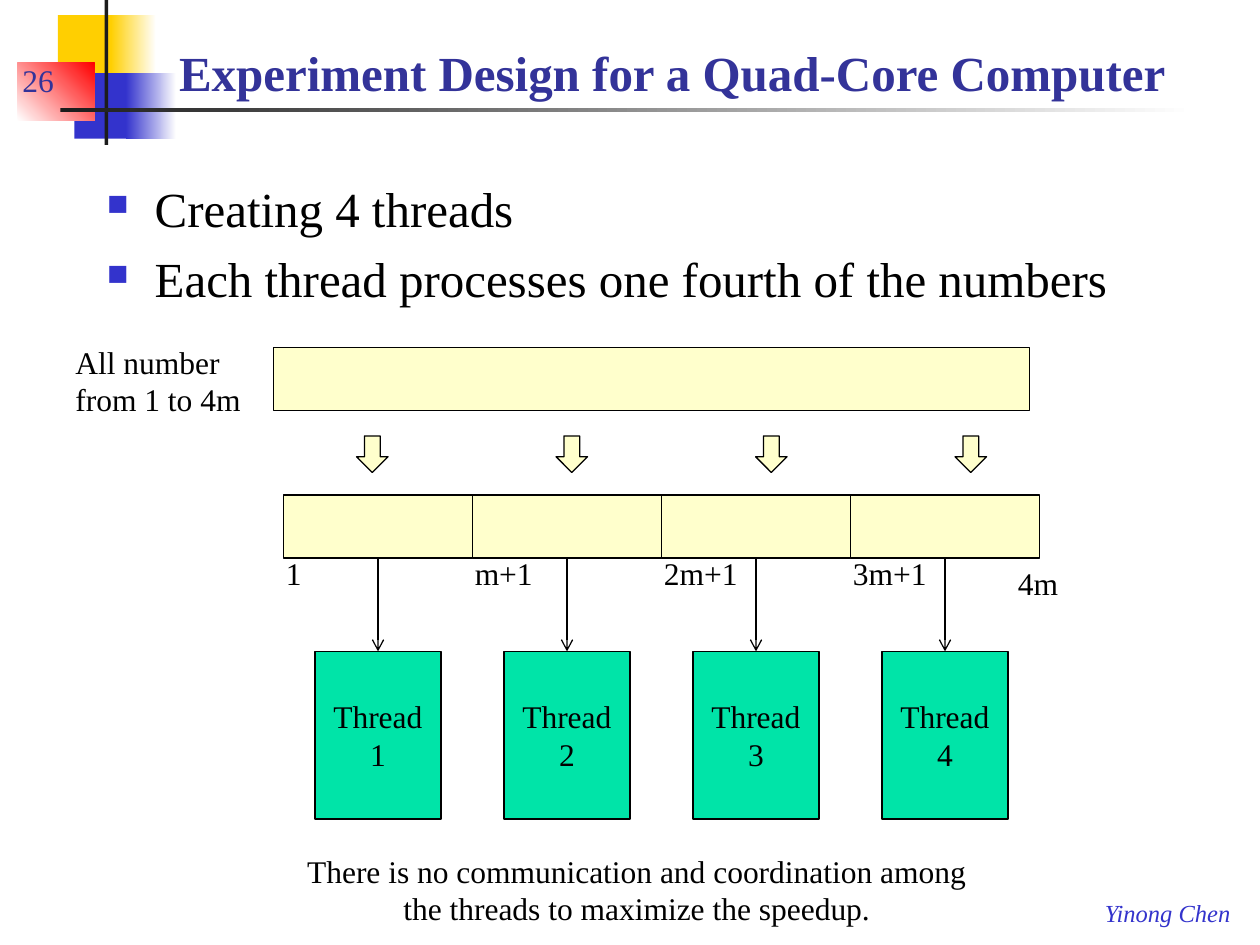
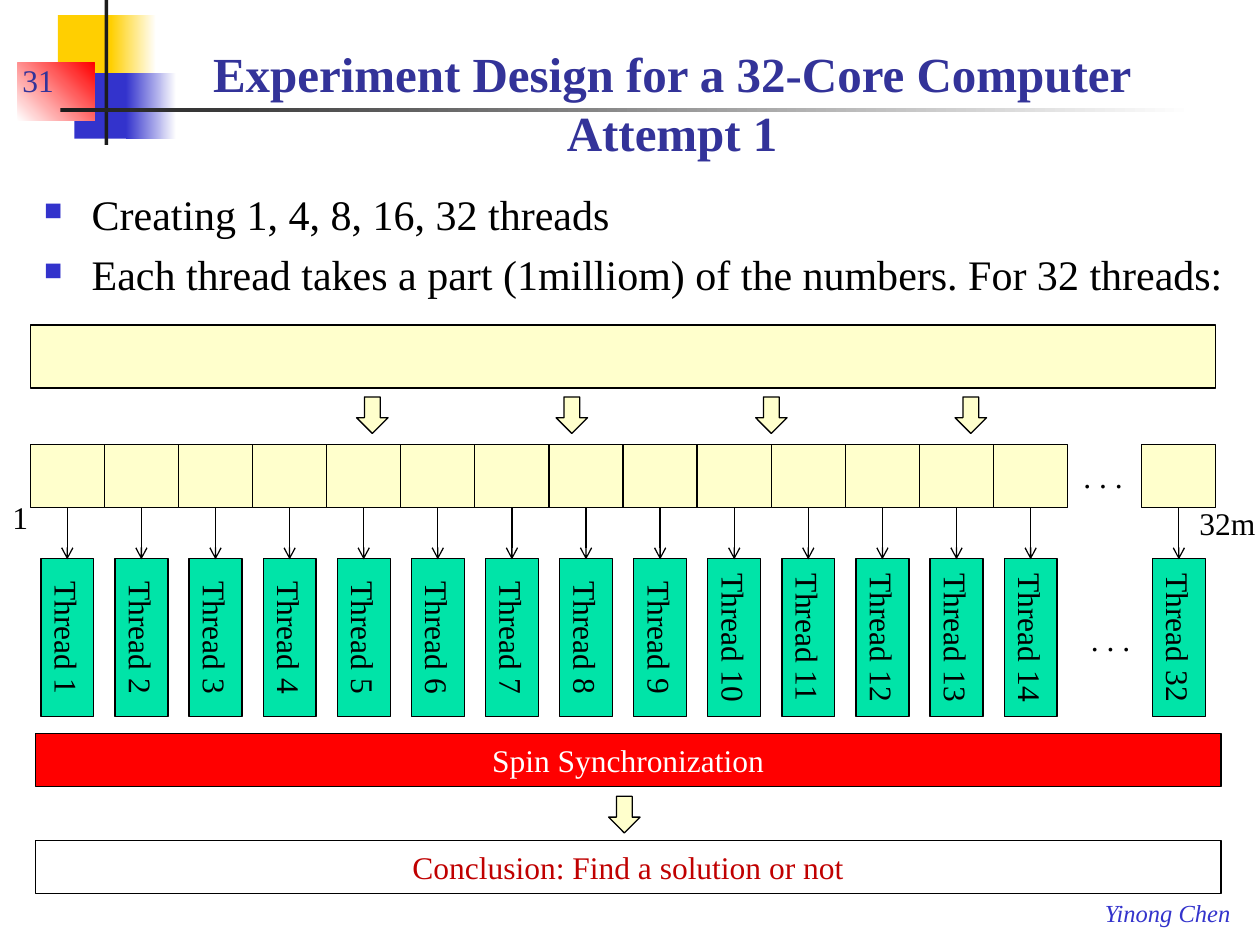
from typing import NamedTuple, Optional

from lxml.etree import SubElement
from pptx import Presentation
from pptx.dml.color import RGBColor as Rgb
from pptx.enum.shapes import MSO_CONNECTOR as Conn, MSO_SHAPE as Kind
from pptx.enum.text import MSO_ANCHOR as Anchor, PP_ALIGN as Align
from pptx.oxml.ns import qn
from pptx.util import Inches, Pt

FONT = "Times New Roman"
BLACK = Rgb(0x00, 0x00, 0x00)
WHITE = Rgb(0xFF, 0xFF, 0xFF)
GOLD = Rgb(0xFF, 0xCF, 0x01)
BLUE = Rgb(0x33, 0x33, 0xCC)
NAVY = Rgb(0x33, 0x33, 0x99)
RED = Rgb(0xFF, 0x00, 0x00)
BRICK = Rgb(0xC0, 0x00, 0x00)
COAL = Rgb(0x1C, 0x1C, 0x1C)
CREAM = Rgb(0xFF, 0xFF, 0xCC)
GREEN = Rgb(0x00, 0xE4, 0xA8)


class Box(NamedTuple):
    left: float
    top: float
    width: float
    height: float

    def emu(self) -> list:
        return [Inches(side) for side in self]


class Style(NamedTuple):
    size: int = 18
    color: Rgb = BLACK
    bold: bool = False
    italic: bool = False
    align: Align = Align.LEFT
    anchor: Anchor = Anchor.TOP


class Band(NamedTuple):
    box: Box
    start: Rgb
    end: Optional[Rgb] = None
    angle: int = 0


LABEL = Style()
MID = Style(align=Align.CENTER, anchor=Anchor.MIDDLE)
TITLE = Style(28, NAVY, bold=True, align=Align.CENTER, anchor=Anchor.BOTTOM)
NUMBER = Style(color=NAVY, anchor=Anchor.BOTTOM)
AUTHOR = Style(14, BLUE, italic=True)

BANDS = [
    Band(Box(0.46, 0.12, 0.48, 0.52), GOLD),
    Band(Box(0.88, 0.12, 0.36, 0.52), GOLD, WHITE),
    Band(Box(0.59, 0.58, 0.46, 0.52), BLUE),
    Band(Box(1, 0.58, 0.4, 0.52), BLUE, WHITE),
    Band(Box(0.14, 0.5, 0.61, 0.46), WHITE, RED, 45),
    Band(Box(0.83, 0, 0.03, 1.15), COAL),
    Band(Box(0.48, 0.86, 9, 0.03), COAL, WHITE),
]


def write(frame, text: str, style: Style, wrap: bool = True) -> None:
    frame.text = text
    frame.word_wrap = wrap
    frame.vertical_anchor = style.anchor
    for para in frame.paragraphs:
        para.alignment = style.align
        for run in para.runs:
            font = run.font
            font.name, font.size = FONT, Pt(style.size)
            font.bold, font.italic = style.bold, style.italic
            font.color.rgb = style.color


def add_text(slide, box: Box, text: str, style: Style = LABEL, wrap: bool = True):
    frame = slide.shapes.add_textbox(*box.emu()).text_frame
    write(frame, text, style, wrap)
    return frame


def add_band(slide, band: Band) -> None:
    shape = slide.shapes.add_shape(Kind.RECTANGLE, *band.box.emu())
    shape.shadow.inherit = False
    shape.line.fill.background()
    if band.end is None:
        shape.fill.solid()
        shape.fill.fore_color.rgb = band.start
        return
    shape.fill.gradient()
    shape.fill.gradient_angle = band.angle
    for stop, color in zip(shape.fill.gradient_stops, (band.start, band.end)):
        stop.color.rgb = color


def add_block(slide, box: Box, fill: Rgb = CREAM, text: str = "",
              style: Style = MID, kind: Kind = Kind.RECTANGLE, turn: int = 0) -> None:
    shape = slide.shapes.add_shape(kind, *box.emu())
    shape.shadow.inherit = False
    shape.fill.solid()
    shape.fill.fore_color.rgb = fill
    shape.line.color.rgb = BLACK
    shape.line.width = Pt(0.75)
    shape.rotation = turn
    if text:
        write(shape.text_frame, text, style)


def add_arrow(slide, x: float, top: float, end: float) -> None:
    """Draw a thin vertical line with an open head at its lower end."""
    line = slide.shapes.add_connector(
        Conn.STRAIGHT, Inches(x), Inches(top), Inches(x), Inches(end))
    line.line.color.rgb = BLACK
    line.line.width = Pt(0.75)
    props = line.element.spPr
    SubElement(props.find(qn("a:ln")), qn("a:tailEnd"), type="arrow")
    SubElement(props, qn("a:effectLst"))


def add_drop(slide, left: float, top: float) -> None:
    add_block(slide, Box(left, top, 0.25, 0.29), kind=Kind.DOWN_ARROW)


def add_drops(slide, top: float) -> None:
    for i in range(4):
        add_drop(slide, 2.83 + i * 4.75 / 3, top)


def add_list(slide, box: Box, items: list[str], size: int) -> None:
    """Add a list with small square bullets."""
    frame = add_text(slide, box, "\n".join(items), Style(size))
    for i, para in enumerate(frame.paragraphs):
        props = para._p.get_or_add_pPr()
        props.set("marL", str(Inches(0.38)))
        props.set("indent", str(-Inches(0.38)))
        tint = SubElement(props, qn("a:buClr"))
        SubElement(tint, qn("a:srgbClr"), val=str(BLUE))
        SubElement(props, qn("a:buSzPct"), val="60000")
        SubElement(props, qn("a:buChar"), char="■")
        if i:
            para.space_before = Pt(round(size * 0.23, 1))


def add_slide(deck, number: int, title: str, box: Box):
    """Add a slide with the shared bands, author, title and number."""
    slide = deck.slides.add_slide(deck.slide_layouts[6])
    for band in BANDS:
        add_band(slide, band)
    add_text(slide, Box(8.67, 7.08, 1.2, 0.34), "Yinong Chen", AUTHOR, wrap=False)
    add_text(slide, box, title, TITLE)
    add_text(slide, Box(0.08, 0.33, 0.85, 0.5), str(number), NUMBER)
    return slide


def add_quad(deck) -> None:
    slide = add_slide(deck, 26, "Experiment Design for a Quad-Core Computer",
                      Box(0.75, 0.17, 9.17, 0.68))
    add_list(slide, Box(0.75, 1.37, 9.04, 1.33),
             ["Creating 4 threads", "Each thread processes one fourth of the numbers"], 28)
    add_text(slide, Box(0.5, 2.67, 1.67, 0.71), "All number from 1 to 4m")
    add_block(slide, Box(2.17, 2.76, 6, 0.5))
    add_drops(slide, 3.46)

    pitch = 1.5
    starts = [("1", 0.33), ("m+1", 0.67), ("2m+1", 0.79), ("3m+1", 0.79)]
    for i, (start, width) in enumerate(starts):
        left = 2.25 + i * pitch
        add_block(slide, Box(left, 3.93, pitch, 0.5))
        add_text(slide, Box(left - 0.08, 4.35, width, 0.4), start, wrap=False)
        add_block(slide, Box(left + 0.25, 5.17, 1, 1.33), GREEN, f"Thread {i + 1}")
        add_arrow(slide, left + pitch / 2, 4.43, 5.17)
    add_text(slide, Box(7.98, 4.43, 0.52, 0.4), "4m", wrap=False)
    add_text(slide, Box(2.17, 6.71, 5.77, 0.71),
             "There is no communication and coordination among "
             "the threads to maximize the speedup.", Style(align=Align.CENTER))


def add_many(deck) -> None:
    slide = add_slide(deck, 31, "Experiment Design for a 32-Core Computer\vAttempt 1",
                      Box(0.75, 0.33, 9.17, 1))
    add_list(slide, Box(0.25, 1.45, 9.67, 1.33),
             ["Creating 1, 4, 8, 16, 32 threads",
              "Each thread takes a part (1milliom) of the numbers. For 32 threads:"], 24)
    left, width = 0.24, 9.41
    add_block(slide, Box(left, 2.58, width, 0.5))
    add_drops(slide, 3.15)

    slots = [*range(1, 15), None, 32]
    pitch = width / len(slots)
    long, thin = 1.25, 0.42
    for i, thread in enumerate(slots):
        if thread is None:
            continue
        x = left + i * pitch
        mid = x + pitch / 2
        add_block(slide, Box(x, 3.53, pitch, 0.5))
        add_block(slide, Box(mid - long / 2, 4.85, long, thin), GREEN,
                  f"Thread {thread}", turn=90)
        add_arrow(slide, mid, 4.03, 4.44)

    for text, box in [("1", Box(0, 3.9, 0.33, 0.4)), ("32m", Box(9.42, 3.95, 0.65, 0.4)),
                      (". . .", Box(8.5, 3.58, 0.52, 0.4)),
                      (". . .", Box(8.56, 4.87, 0.52, 0.4))]:
        add_text(slide, box, text, wrap=False)
    add_block(slide, Box(0.28, 5.82, width, 0.42), RED, "Spin Synchronization",
              MID._replace(color=WHITE))
    add_drop(slide, 4.83, 6.32)
    add_block(slide, Box(0.28, 6.67, width, 0.42), WHITE,
              "Conclusion: Find a solution or not", MID._replace(color=BRICK))


def main() -> None:
    deck = Presentation()
    deck.slide_width, deck.slide_height = Inches(10), Inches(7.5)
    add_quad(deck)
    add_many(deck)
    deck.save("out.pptx")


if __name__ == "__main__":
    main()
